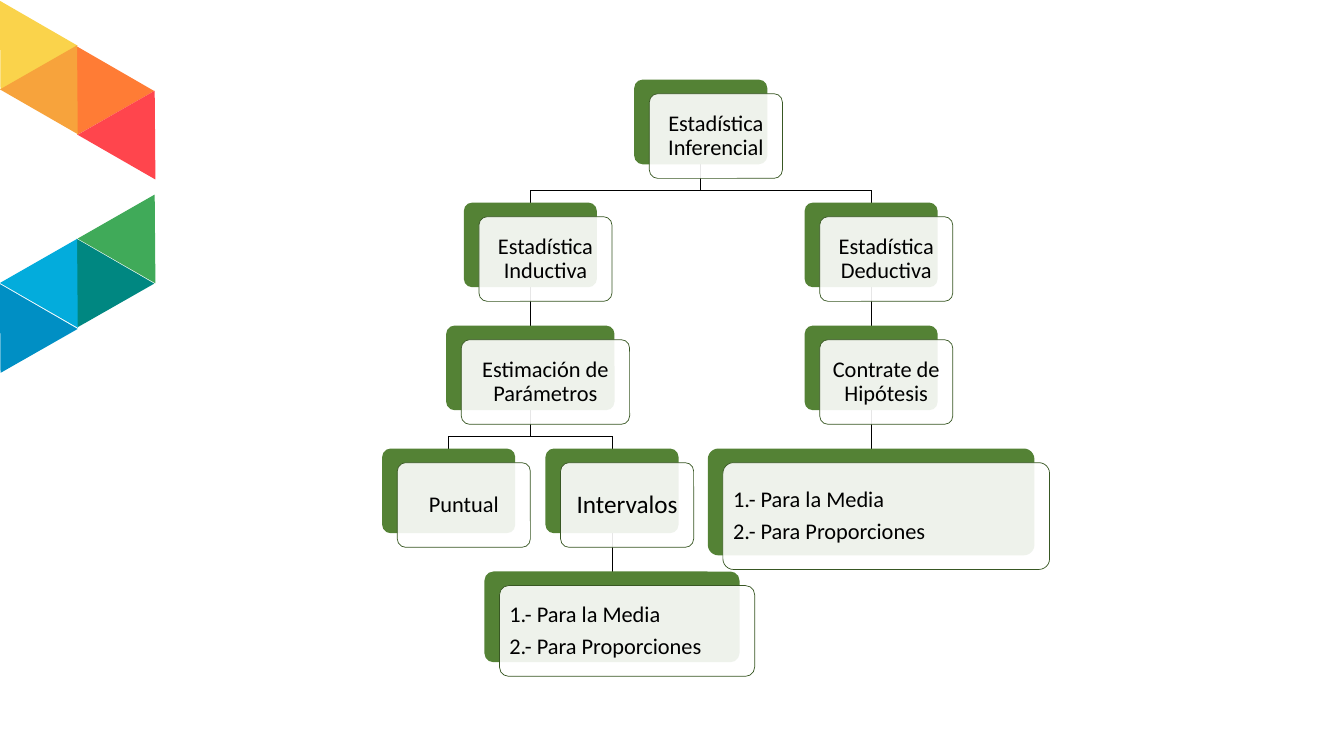
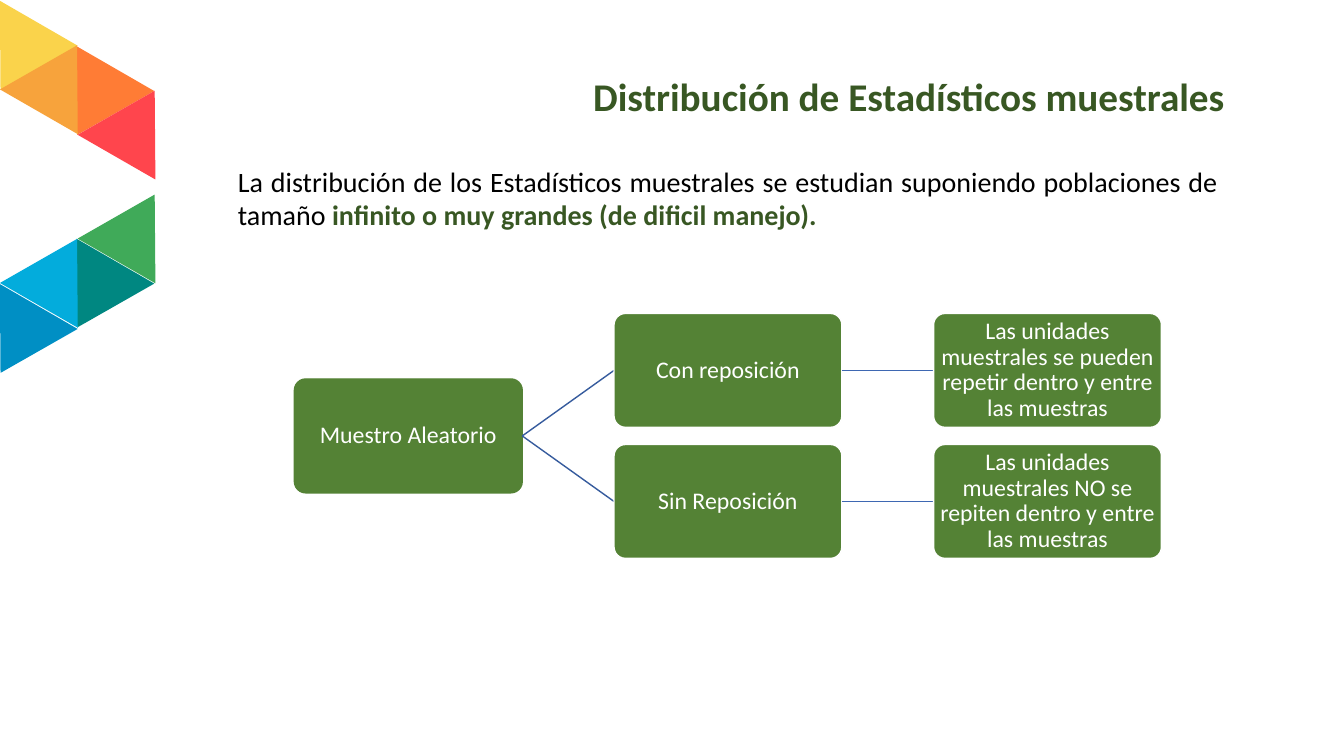
from collections import namedtuple

from pptx import Presentation
from pptx import util as u
from pptx.dml import color
from pptx.enum import shapes, text
from pptx.oxml import ns, xmlchemy
from pptx.oxml.xmlchemy import OxmlElement

EMU_PER_PX = 9144
FONT = "Calibri"
WHITE, BLACK = "FFFFFF", "000000"
GREEN, DARK_GREEN = "548235", "385723"
BRANCH_BLUE, LINK_BLUE = "365B9D", "3E67B2"
POINTING_LEFT, POINTING_RIGHT = 29.9, 210

TRIANGLES = [
    (-25, 18, POINTING_RIGHT, "FAD34B"),
    (51, 63, POINTING_RIGHT, "FF7C35"),
    (13, 40, POINTING_LEFT, "F7A33C"),
    (90, 85, POINTING_LEFT, "FF454D"),
    (51, 254, POINTING_RIGHT, "008781"),
    (-25, 299, POINTING_RIGHT, "008FC4"),
    (13, 232, POINTING_LEFT, "03ACDC"),
    (90, 188, POINTING_LEFT, "40AA59"),
]

Node = namedtuple("Node", "label parent center row width height size align",
                  defaults=(132, 84, 16, text.PP_ALIGN.CENTER))
METHODS = "1.- Para la Media\n2.- Para Proporciones"
TREE = {
    "inferential": Node("Estadística Inferencial", None, 695, 0),
    "inductive": Node("Estadística Inductiva", "inferential", 526, 1),
    "estimation": Node("Estimación de Parámetros", "inductive", 526, 2, width=167),
    "point": Node("Puntual", "estimation", 445, 3),
    "intervals": Node("Intervalos", "estimation", 607, 3, size=18),
    "interval methods": Node(METHODS, "intervals", 607, 4, 253, 90,
                             align=text.PP_ALIGN.LEFT),
    "deductive": Node("Estadística Deductiva", "inferential", 864, 1),
    "contrast": Node("Contrate de Hipótesis", "deductive", 864, 2),
    "contrast methods": Node(METHODS, "contrast", 864, 3, 324, 106,
                             align=text.PP_ALIGN.LEFT),
}
TREE_TOP, ROW_STEP, BEND_GAP = 79, 122, 12
CARD_SHIFT_X, CARD_SHIFT_Y = 15, 14

SAMPLING = [
    ("Con reposición",
     "Las unidades muestrales se pueden repetir dentro y entre las muestras"),
    ("Sin Reposición",
     "Las unidades muestrales NO se repiten dentro y entre las muestras"),
]
BOX_WIDTH, BOX_HEIGHT = 226, 113
COLUMNS = [292 + 317 * column for column in range(3)]
BOX_TOP, BOX_STEP = 311, 130


def px(value):
    return u.Emu(round(value * EMU_PER_PX))


def rgb(value):
    return color.RGBColor.from_string(value)


def style_run(run, size, ink, bold=False):
    run.font.name = FONT
    run.font.size = u.Pt(size)
    run.font.bold = bold
    run.font.color.rgb = rgb(ink)


def add_block(slide, kind, left, top, width, height, fill, line=None, line_width=1):
    shape = slide.shapes.add_shape(kind, px(left), px(top), px(width), px(height))
    shape.shadow.inherit = False
    shape.fill.solid()
    shape.fill.fore_color.rgb = rgb(fill)
    if line:
        shape.line.color.rgb = rgb(line)
        shape.line.width = u.Pt(line_width)
    else:
        shape.line.fill.background()
    return shape


def add_round_box(slide, *geometry_and_colours, **line_style):
    shape = add_block(slide, shapes.MSO_SHAPE.ROUNDED_RECTANGLE,
                      *geometry_and_colours, **line_style)
    shape.adjustments[0] = 0.1
    return shape


def set_opacity(shape, percent):
    alpha = OxmlElement("a:alpha")
    alpha.set("val", str(percent * 1000))
    shape.element.spPr.find(ns.qn("a:solidFill"))[0].append(alpha)


def write_label(shape, label, size, ink, inset, align=text.PP_ALIGN.CENTER):
    frame = shape.text_frame
    frame.word_wrap = True
    frame.vertical_anchor = text.MSO_ANCHOR.MIDDLE
    frame.margin_left = frame.margin_right = px(inset)
    frame.margin_top = frame.margin_bottom = px(inset)
    frame.text = label
    for paragraph in frame.paragraphs:
        paragraph.alignment = align
        paragraph.line_spacing = 0.9
        paragraph.space_after = u.Pt(size * 0.35)
        for run in paragraph.runs:
            style_run(run, size, ink)


def add_path(slide, points, ink, width):
    for start, end in zip(points, points[1:]):
        connector = slide.shapes.add_connector(
            shapes.MSO_CONNECTOR.STRAIGHT, *map(px, start + end))
        connector.line.color.rgb = rgb(ink)
        connector.line.width = u.Pt(width)
        connector.element.spPr.append(OxmlElement("a:effectLst"))


def add_text(slide, left, top, width, height, align, size, pieces):
    box = slide.shapes.add_textbox(px(left), px(top), px(width), px(height))
    box.text_frame.word_wrap = True
    paragraph = box.text_frame.paragraphs[0]
    paragraph.alignment = align
    for words, ink, bold in pieces:
        run = paragraph.add_run()
        run.text = words
        style_run(run, size, ink, bold)
    return paragraph


def add_title(slide, title):
    paragraph = add_text(slide, 268, 72, 956, 65, text.PP_ALIGN.RIGHT, 28,
                         [(title, DARK_GREEN, True)])
    paragraph.line_spacing = 0.9


def add_slide(presentation):
    slide = presentation.slides.add_slide(presentation.slide_layouts[6])
    for left, top, rotation, fill in TRIANGLES:
        triangle = add_block(slide, shapes.MSO_SHAPE.ISOSCELES_TRIANGLE,
                             left, top, 89, 76, fill)
        triangle.rotation = rotation
    return slide


def row_top(node):
    return TREE_TOP + ROW_STEP * node.row


def add_branch(slide, parent, child):
    start = (parent.center, row_top(parent) + parent.height)
    end = (child.center, row_top(child))
    bend = end[1] - BEND_GAP
    points = [start, end]
    if parent.center != child.center:
        points[1:1] = [(parent.center, bend), (child.center, bend)]
    add_path(slide, points, BLACK, 0.5)


def add_card(slide, node):
    left, top = node.center - node.width / 2, row_top(node)
    add_round_box(slide, left, top, node.width, node.height, GREEN)
    card = add_round_box(slide, left + CARD_SHIFT_X, top + CARD_SHIFT_Y,
                         node.width, node.height, WHITE,
                         line=DARK_GREEN, line_width=0.5)
    set_opacity(card, 90)
    write_label(card, node.label, node.size, BLACK, 7, node.align)


def add_sampling_box(slide, left, top, label, line=WHITE):
    box = add_round_box(slide, left, top, BOX_WIDTH, BOX_HEIGHT, GREEN, line=line)
    write_label(box, label, 17, WHITE, 1)


def build_tree_slide(presentation):
    slide = add_slide(presentation)
    for node in TREE.values():
        if node.parent:
            add_branch(slide, TREE[node.parent], node)
    for node in TREE.values():
        add_card(slide, node)


def build_sampling_slide(presentation):
    slide = add_slide(presentation)
    add_title(slide, "Distribución de Estadísticos muestrales")
    add_text(slide, 226, 158, 992, 77, text.PP_ALIGN.JUSTIFY, 20, [
        ("La distribución de los Estadísticos muestrales se estudian "
         "suponiendo poblaciones de tamaño ", BLACK, False),
        ("infinito o muy grandes (de dificil manejo).", DARK_GREEN, True),
    ])
    root, option, meaning = COLUMNS
    root_top = BOX_TOP + BOX_STEP / 2
    half = BOX_HEIGHT / 2
    add_sampling_box(slide, root, root_top, "Muestro Aleatorio", GREEN)
    for row, (name, explanation) in enumerate(SAMPLING):
        top = BOX_TOP + BOX_STEP * row
        middle = top + half
        add_path(slide, [(root + BOX_WIDTH, root_top + half), (option, middle)],
                 BRANCH_BLUE, 1)
        add_sampling_box(slide, option, top, name)
        add_path(slide, [(option + BOX_WIDTH, middle), (meaning, middle)],
                 LINK_BLUE, 1)
        add_sampling_box(slide, meaning, top, explanation)


def main():
    presentation = Presentation()
    presentation.slide_width = px(1333)
    presentation.slide_height = px(750)
    build_tree_slide(presentation)
    build_sampling_slide(presentation)
    presentation.save("out.pptx")


if __name__ == "__main__":
    main()
